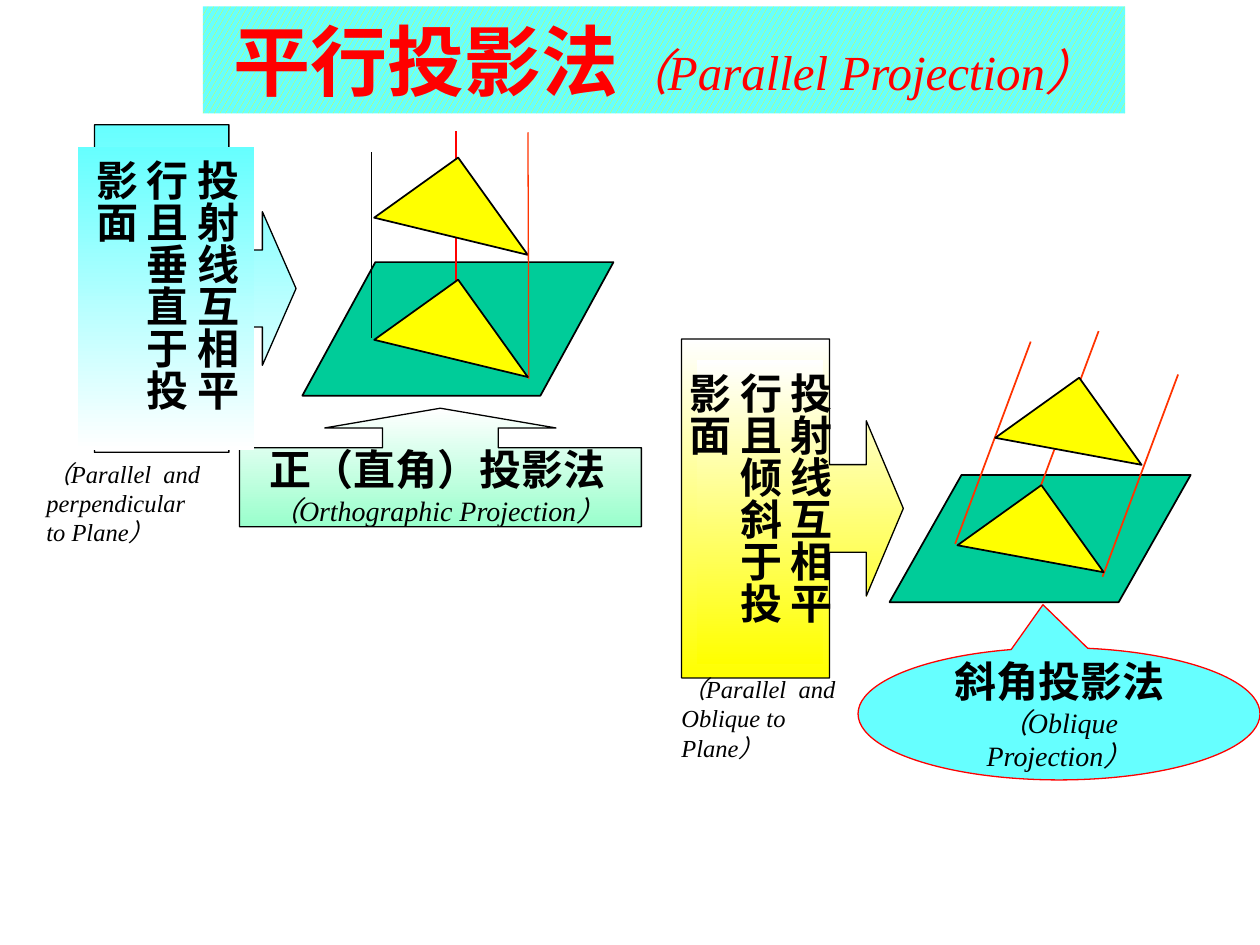
from pptx import Presentation
from pptx.dml.color import RGBColor
from pptx.enum.dml import MSO_PATTERN
from pptx.enum.shapes import MSO_CONNECTOR, MSO_SHAPE
from pptx.enum.text import MSO_ANCHOR, MSO_AUTO_SIZE, PP_ALIGN
from pptx.oxml.ns import qn
from pptx.util import Pt
from lxml.etree import SubElement

COLORS = {
    "black": "000000", "white": "FFFFFF", "red": "FF0000", "ray": "FF3300",
    "yellow": "FFFF00", "cyan": "66FFFF", "green": "00CC99", "mint": "99FFCC",
}
RGB = {name: RGBColor.from_string(value) for name, value in COLORS.items()}

presentation = Presentation()
presentation.slide_width, presentation.slide_height = Pt(720), Pt(540)
slide = presentation.slides.add_slide(presentation.slide_layouts[5])


def add_figure(kind, box, fill, line="black", width=1, adjustments=(), rotation=0):
    shape = slide.shapes.add_shape(kind, *[Pt(value) for value in box])
    shape.shadow.inherit = False
    shape.rotation = rotation
    for index, value in enumerate(adjustments):
        shape.adjustments[index] = value
    if len(fill) == 2:
        shape.fill.gradient()
        shape.fill.gradient_angle = 270
        for stop, name in zip(shape.fill.gradient_stops, fill):
            stop.color.rgb = RGB[name]
    else:
        shape.fill.solid()
        shape.fill.fore_color.rgb = RGB[fill[0]]
    if line:
        shape.line.color.rgb = RGB[line]
        shape.line.width = Pt(width)
    else:
        shape.line.fill.background()
    return shape


def write(shape, lines, align=PP_ALIGN.CENTER, anchor=MSO_ANCHOR.MIDDLE):
    frame = shape.text_frame
    frame.word_wrap = True
    frame.auto_size = MSO_AUTO_SIZE.NONE
    frame.vertical_anchor = anchor
    for index, (text, size, bold) in enumerate(lines):
        paragraph = frame.paragraphs[0] if index == 0 else frame.add_paragraph()
        paragraph.text = text
        paragraph.alignment = align
        font = paragraph.font
        font.name, font.size = "Times New Roman", Pt(size)
        font.bold, font.italic = bold, not bold
        font.color.rgb = RGB["black"]


title = slide.shapes.title
title.left, title.top, title.width, title.height = Pt(115.9), Pt(3.6), Pt(527), Pt(61.2)
title.fill.patterned()
title.fill.pattern = MSO_PATTERN.LARGE_CONFETTI
title.fill.fore_color.rgb = RGB["yellow"]
title.fill.back_color.rgb = RGB["cyan"]
title.text_frame.auto_size = MSO_AUTO_SIZE.NONE
title.text_frame.vertical_anchor = MSO_ANCHOR.MIDDLE
heading = title.text_frame.paragraphs[0]
heading.alignment = PP_ALIGN.CENTER
heading.font.name = "Times New Roman"
heading.font.color.rgb = RGB["red"]
for text, size, bold in [("平行投影法", 44, True), ("（Parallel Projection）", 28, False)]:
    run = heading.add_run()
    run.text = text
    run.font.size = Pt(size)
    run.font.bold, run.font.italic = bold, not bold

oblique_callout = add_figure(
    MSO_SHAPE.OVAL_CALLOUT, (490.3, 370.1, 229.7, 75.6), ["cyan"], "red", 0.75, (-0.04, -0.825))
write(oblique_callout, [("斜角投影法", 24, True), ("（Oblique Projection）", 16, False)])

PLANE, TRIANGLE, RAY = "plane", "triangle", "ray"
oblique_rays = [(RAY, (x, y, x + 43.2, y - 115.6), "ray", 1)
                for x, y in [(630, 329.6), (584.6, 304.8), (545.8, 310.8)]]
diagram = [
    (PLANE, (172.8, 149.8, 177.8, 76.3), 0.547),
    (RAY, (260.6, 198.7, 260.6, 74.9), "red", 1),
    (TRIANGLE, (228.2, 100.8, 59, 68.4)),
    (RAY, (302.2, 216.7, 301.7, 75.6), "ray", 0.75),
    (RAY, (212.4, 193, 212.4, 86.8), "black", 0.25),
    (TRIANGLE, (228.2, 170.6, 59, 68.4)),
    (PLANE, (508.3, 271.4, 172.1, 72.7), 0.566),
    *oblique_rays,
    (TRIANGLE, (559.4, 288.7, 59, 61.2)),
    (TRIANGLE, (581, 227.3, 59, 61.2)),
]
for part, box, *style in diagram:
    if part == PLANE:
        add_figure(MSO_SHAPE.PARALLELOGRAM, box, ["green"], adjustments=style)
    elif part == TRIANGLE:
        add_figure(MSO_SHAPE.RIGHT_TRIANGLE, box, ["yellow"], rotation=144.4)
    else:
        ray = slide.shapes.add_connector(MSO_CONNECTOR.STRAIGHT, *[Pt(value) for value in box])
        ray.line.color.rgb = RGB[style[0]]
        ray.line.width = Pt(style[1])
        SubElement(ray._element.spPr, qn("a:effectLst"))

add_figure(MSO_SHAPE.UP_ARROW_CALLOUT, (136.8, 233.3, 229.7, 67.7), ["white", "mint"],
           width=0.75, adjustments=(0.976, 0.976, 0.167, 0.667))
orthographic_label = slide.shapes.add_textbox(Pt(127.4), Pt(249.1), Pt(245.5), Pt(56.2))
write(orthographic_label,
      [("正（直角）投影法", 24, True), ("（Orthographic Projection）", 16, False)])

conditions = [
    ((54, 71.3, 115.2, 187.2), 0.381, ["cyan", "white"],
     (44.6, 84.2, 100.8, 172.8), "投射线互相平行且垂直于投影面",
     (19.4, 258.5, 106, 59.8), "（Parallel  and perpendicular to Plane）"),
    ((389.5, 193.7, 126.7, 193.7), 0.395, ["white", "yellow"],
     (398.2, 205.9, 72, 173.5), "投射线互相平行且倾斜于投影面",
     (382.3, 381.6, 113, 41), "（Parallel  and Oblique to Plane）"),
]
for arrow_box, head, gradient, panel_box, chinese, note_box, english in conditions:
    add_figure(MSO_SHAPE.RIGHT_ARROW_CALLOUT, arrow_box, gradient,
               width=0.75, adjustments=(head, head, 0.167, 0.667))
    panel = add_figure(MSO_SHAPE.RECTANGLE, panel_box, gradient, line=None)
    write(panel, [(chinese, 24, True)], PP_ALIGN.LEFT)
    panel.text_frame._txBody.bodyPr.set("vert", "eaVert")
    note = slide.shapes.add_textbox(*[Pt(value) for value in note_box])
    write(note, [(english, 14, False)], PP_ALIGN.LEFT, MSO_ANCHOR.TOP)

presentation.save("out.pptx")
